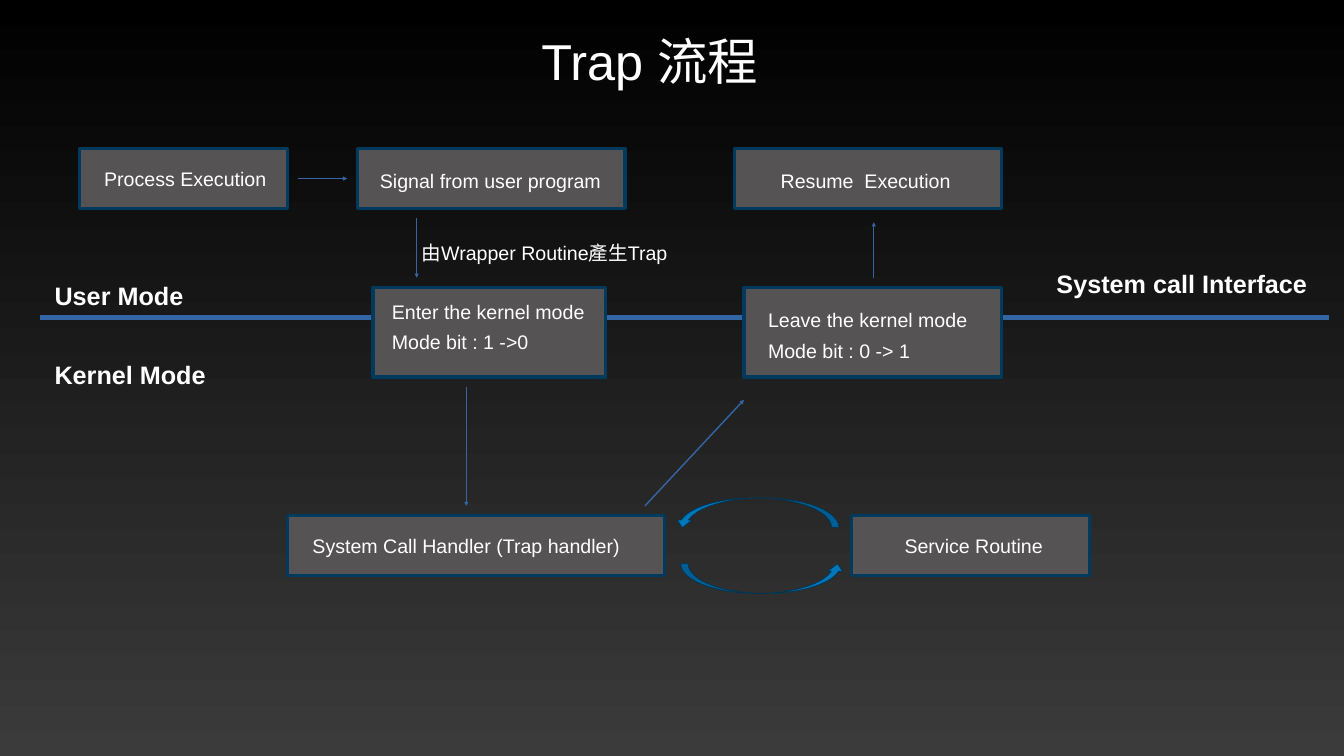
from pptx import Presentation
from pptx.dml.color import RGBColor
from pptx.enum.shapes import MSO_CONNECTOR as Connector, MSO_SHAPE as Shape
from pptx.enum.text import PP_ALIGN as Align
from pptx.oxml.ns import qn
from pptx.util import Cm, Pt
from lxml.etree import SubElement

WHITE = RGBColor(0xFF, 0xFF, 0xFF)
BLACK = RGBColor(0x00, 0x00, 0x00)
CHARCOAL = RGBColor(0x3B, 0x3B, 0x3B)
BOX_FILL = RGBColor(0x55, 0x53, 0x53)
BOX_LINE = RGBColor(0x00, 0x3B, 0x5D)
LINE_BLUE = RGBColor(0x34, 0x65, 0xA4)
LOOP_FILL = RGBColor(0x00, 0x76, 0xBA)
LOOP_LINE = RGBColor(0x00, 0x34, 0x52)


class FlowSlide:
    """Holds the slide and its style; all lengths are centimetres."""

    font = "Arial"
    body_size = 28
    mode_size = 36
    title_size = 72

    def __init__(self, presentation):
        self.slide = presentation.slides.add_slide(presentation.slide_layouts[6])

    def background(self, top_color, bottom_color):
        fill = self.slide.background.fill
        fill.gradient()
        fill.gradient_angle = 270
        for stop, color, position in zip(fill.gradient_stops, (top_color, bottom_color), (0, 1)):
            stop.color.rgb = color
            stop.position = position

    def shape(self, kind, left, top, width, height, fill, line, weight):
        shape = self.slide.shapes.add_shape(kind, Cm(left), Cm(top), Cm(width), Cm(height))
        shape.shadow.inherit = False
        shape.fill.solid()
        shape.fill.fore_color.rgb = fill
        shape.line.color.rgb = line
        shape.line.width = Pt(weight)
        return shape

    def box(self, left, top, width, height):
        self.shape(Shape.RECTANGLE, left, top, width, height, BOX_FILL, BOX_LINE, 4.5)

    def loop_arrow(self, left, top, rotation):
        shape = self.shape(Shape.CURVED_RIGHT_ARROW, left, top, 1.5, 8.28,
                           LOOP_FILL, LOOP_LINE, 1)
        shape.rotation = rotation

    def text(self, left, top, width, height, wording, size=body_size, bold=False,
             align=Align.LEFT):
        text_box = self.slide.shapes.add_textbox(Cm(left), Cm(top), Cm(width), Cm(height))
        text_box.text_frame.word_wrap = True
        paragraph = text_box.text_frame.paragraphs[0]
        paragraph.alignment = align
        run = paragraph.add_run()
        run.text = wording
        run.font.name = self.font
        run.font.size = Pt(size)
        run.font.bold = bold
        run.font.color.rgb = WHITE

    def line(self, x1, y1, x2, y2, weight=0, arrow=True):
        connector = self.slide.shapes.add_connector(
            Connector.STRAIGHT, Cm(x1), Cm(y1), Cm(x2), Cm(y2))
        connector.line.color.rgb = LINE_BLUE
        connector.line.width = Pt(weight)
        if arrow:
            SubElement(connector.line._get_or_add_ln(), qn("a:tailEnd"), type="triangle")
        SubElement(connector._element.spPr, qn("a:effectLst"))


def main():
    presentation = Presentation()
    presentation.slide_width = Cm(67.74)
    presentation.slide_height = Cm(38.1)
    flow = FlowSlide(presentation)
    flow.background(BLACK, CHARCOAL)

    # Title
    flow.text(17, 1.37, 31.5, 3.63, "Trap 流程", flow.title_size, align=Align.CENTER)

    # Border between user mode and kernel mode
    flow.line(2, 16, 67, 16, weight=6, arrow=False)
    for left, top, width, wording in (
        (2.5, 14, 10, "User Mode"),
        (2.5, 18, 10, "Kernel Mode"),
        (53, 13.4, 14.5, "System call Interface"),
    ):
        flow.text(left, top, width, 3, wording, flow.mode_size, bold=True)

    # Boxes: user programs, mode switches, kernel routines
    for top, height, row in (
        (7.5, 3, ((4, 10.5), (18, 13.5), (37, 13.5))),
        (14.5, 4.5, ((18.8, 11.7), (37.5, 13))),
        (26, 3, ((14.5, 19), (42.9, 12))),
    ):
        for left, width in row:
            flow.box(left, top, width, height)

    # Wording of the steps
    for left, top, width, height, wording in (
        (5, 8.3, 10.5, 2.5, "Process Execution"),
        (18.9, 8.4, 12.5, 2.44, "Signal from user program"),
        (39.1, 8.4, 12.5, 2.44, "Resume  Execution"),
        (21, 12, 15.5, 3, "由Wrapper Routine產生Trap"),
        (19.5, 15, 11.5, 2, "Enter the kernel mode"),
        (19.5, 16.5, 15.5, 3, "Mode bit : 1 ->0"),
        (38.46, 15.37, 11.5, 2, "Leave the kernel mode"),
        (38.46, 16.97, 15.5, 3, "Mode bit : 0 -> 1"),
        (15.5, 26.8, 17, 2.5, "System Call Handler (Trap handler)"),
        (45.34, 26.8, 17, 2, "Service Routine"),
    ):
        flow.text(left, top, width, height, wording)

    # Arrows between the steps
    for ends in (
        (15, 9, 17.5, 9),
        (21, 11, 21, 14),
        (23.5, 19.5, 23.5, 25.5),
        (32.5, 25.5, 37.5, 20.15),
        (44.04, 14, 44.04, 11.2),
    ):
        flow.line(*ends)

    # Loop between handler and service routine
    flow.loop_arrow(37.7, 25.02, 270)
    flow.loop_arrow(37.4, 21.7, 90)

    presentation.save("out.pptx")


if __name__ == "__main__":
    main()
